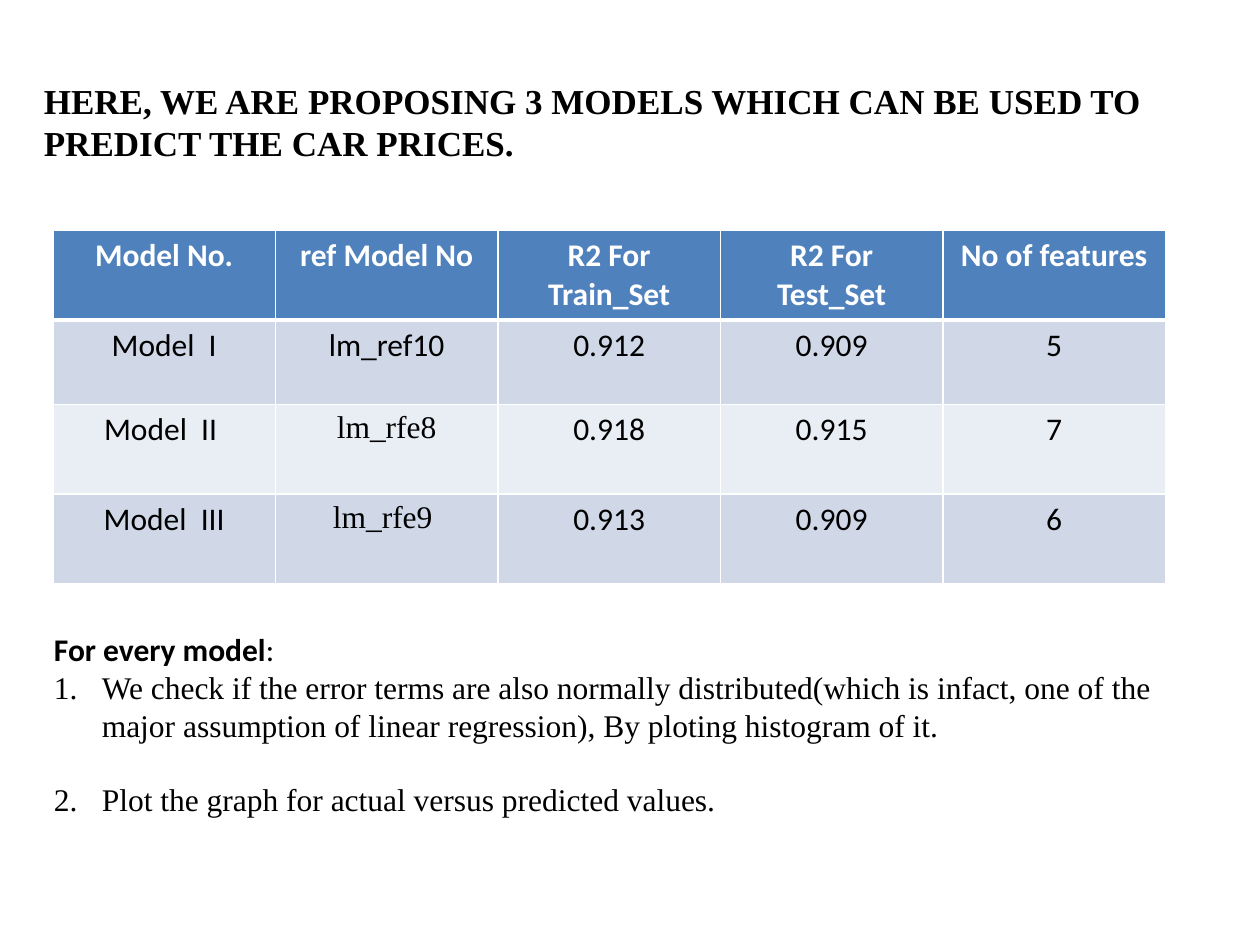
from pptx import Presentation
from pptx.dml.color import RGBColor
from pptx.enum.text import PP_ALIGN as Align
from pptx.oxml.ns import qn
from pptx.util import Inches, Pt
from lxml.etree import SubElement

COLORS = {"text": "000000", "header_text": "FFFFFF", "header": "4F81BD",
          "odd_row": "D0D8E8", "even_row": "E9EDF4", "border": "FFFFFF"}
SANS, SERIF = "Calibri", "Times New Roman"

HEADLINE = ("HERE, WE ARE PROPOSING 3 MODELS WHICH CAN BE USED TO "
            "PREDICT THE CAR PRICES.")
MODELS = [
    ["Model No.", "ref Model No", "R2 For Train_Set", "R2 For Test_Set",
     "No of features"],
    ["Model  I", "lm_ref10", "0.912", "0.909", "5"],
    ["Model  II ", "lm_rfe8", "0.918", "0.915", "7"],
    ["Model  III", "lm_rfe9 ", "0.913", "0.909", "6"],
]
ROW_HEIGHTS = [0.7, 0.67, 0.71, 0.71]
CHECKS = [
    "We check if the error terms are also normally distributed(which is "
    "infact, one of the major assumption of linear regression), By ploting "
    "histogram of it.",
    "Plot the graph for actual versus predicted values.",
]


def rgb(name):
    return RGBColor.from_string(COLORS[name])


def style(run, font=SANS, size=18, bold=False, color="text"):
    run.font.name = font
    run.font.size = Pt(size)
    run.font.bold = bold
    run.font.color.rgb = rgb(color)


def add_text_frame(slide, box):
    frame = slide.shapes.add_textbox(*map(Inches, box)).text_frame
    frame.word_wrap = True
    return frame


def add_headline(slide, box):
    frame = add_text_frame(slide, box)
    frame.text = HEADLINE
    style(frame.paragraphs[0].runs[0], SERIF, 20, True)


def add_borders(cell, bottom_width):
    """Put the border lines ahead of the fill, as the schema requires."""
    props = cell._tc.get_or_add_tcPr()
    widths = {"a:lnL": 1, "a:lnR": 1, "a:lnT": 1, "a:lnB": bottom_width}
    for position, (side, width) in enumerate(widths.items()):
        line = SubElement(props, qn(side), w=str(Pt(width)))
        fill = SubElement(line, qn("a:solidFill"))
        SubElement(fill, qn("a:srgbClr"), val=COLORS["border"])
        props.insert(position, line)


def add_model_table(slide, box):
    table = slide.shapes.add_table(len(MODELS), len(MODELS[0]),
                                   *map(Inches, box)).table
    for row, height in zip(table.rows, ROW_HEIGHTS):
        row.height = Inches(height)
    for r, values in enumerate(MODELS):
        is_header = r == 0
        band = "header" if is_header else "odd_row" if r % 2 else "even_row"
        for c, value in enumerate(values):
            cell = table.cell(r, c)
            cell.text = value
            cell.fill.solid()
            cell.fill.fore_color.rgb = rgb(band)
            add_borders(cell, 3 if is_header else 1)
            paragraph = cell.text_frame.paragraphs[0]
            paragraph.alignment = Align.CENTER
            style(paragraph.runs[0],
                  SERIF if value.startswith("lm_rfe") else SANS,
                  bold=is_header,
                  color="header_text" if is_header else "text")


def number(paragraph):
    props = paragraph._p.get_or_add_pPr()
    props.set("marL", str(Inches(0.38)))
    props.set("indent", str(Inches(-0.38)))
    SubElement(props, qn("a:buFont"), typeface="+mj-lt")
    SubElement(props, qn("a:buAutoNum"), type="arabicPeriod")


def add_checks(slide, box):
    frame = add_text_frame(slide, box)
    # Lead-in
    lead = frame.paragraphs[0]
    for text, bold in [("For every model", True), (":", False)]:
        run = lead.add_run()
        run.text = text
        style(run, bold=bold)
    # Numbered steps, one line apart
    for i, check in enumerate(CHECKS):
        step = frame.add_paragraph()
        step.text = check
        style(step.runs[0], SERIF)
        step.space_before = Pt(21 if i else 0)
        number(step)


def main():
    prs = Presentation()
    prs.slide_width, prs.slide_height = Inches(10), Inches(7.5)
    slide = prs.slides.add_slide(prs.slide_layouts[6])
    add_model_table(slide, (0.42, 1.83, 8.83, sum(ROW_HEIGHTS)))
    add_headline(slide, (0.25, 0.58, 9.17, 1.11))
    add_checks(slide, (0.33, 4.95, 9.08, 2.52))
    prs.save("out.pptx")


if __name__ == "__main__":
    main()
